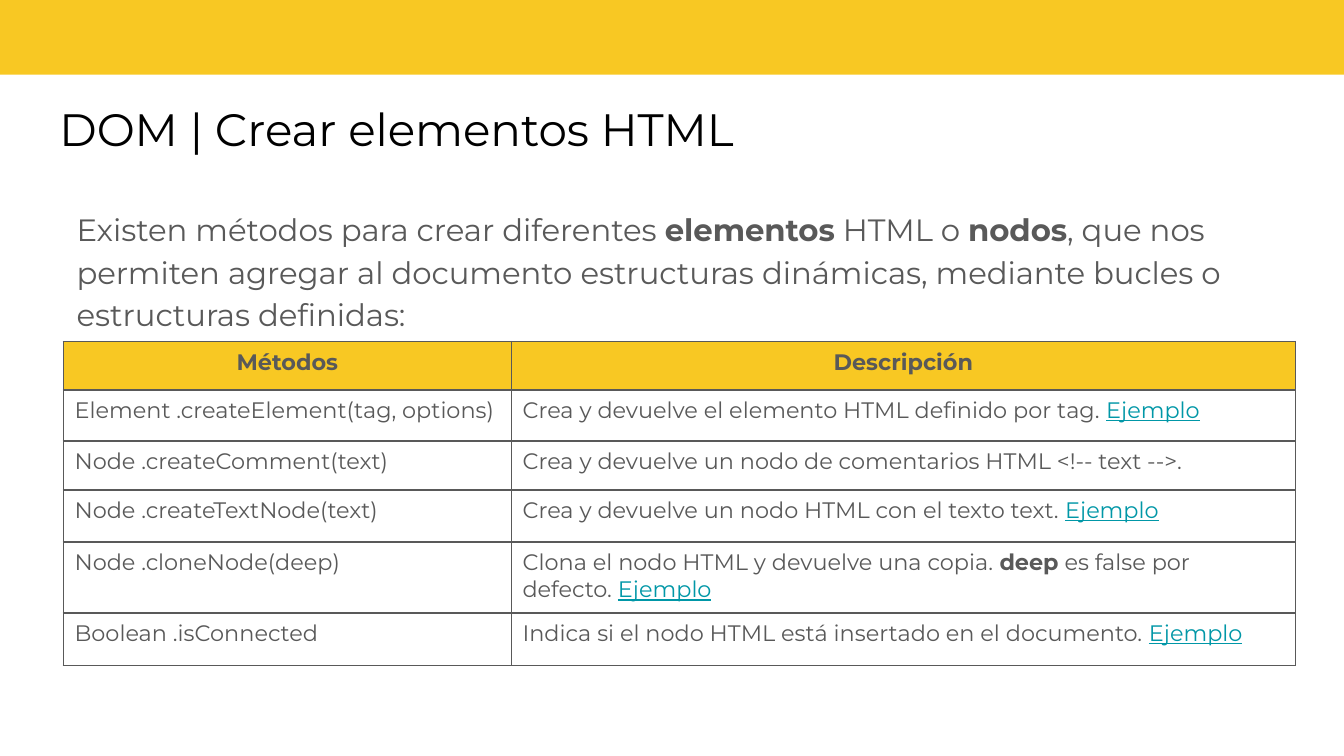
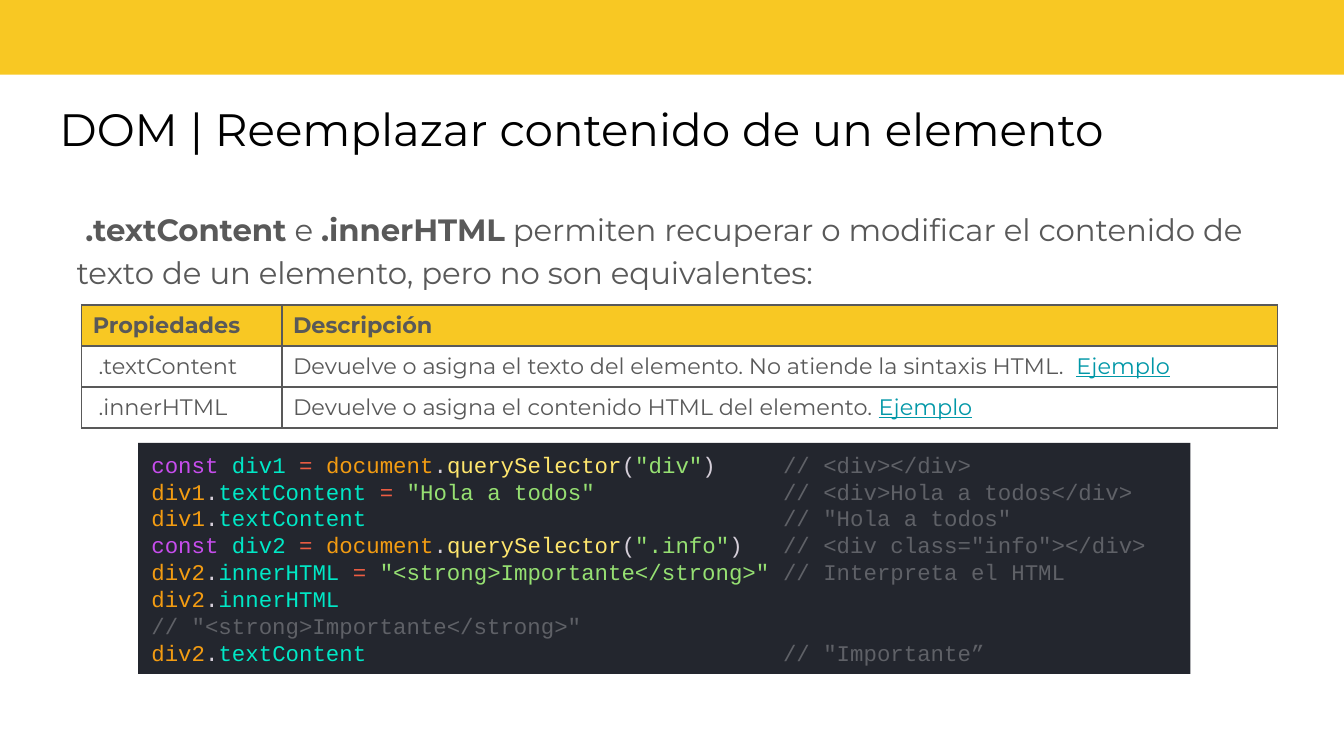
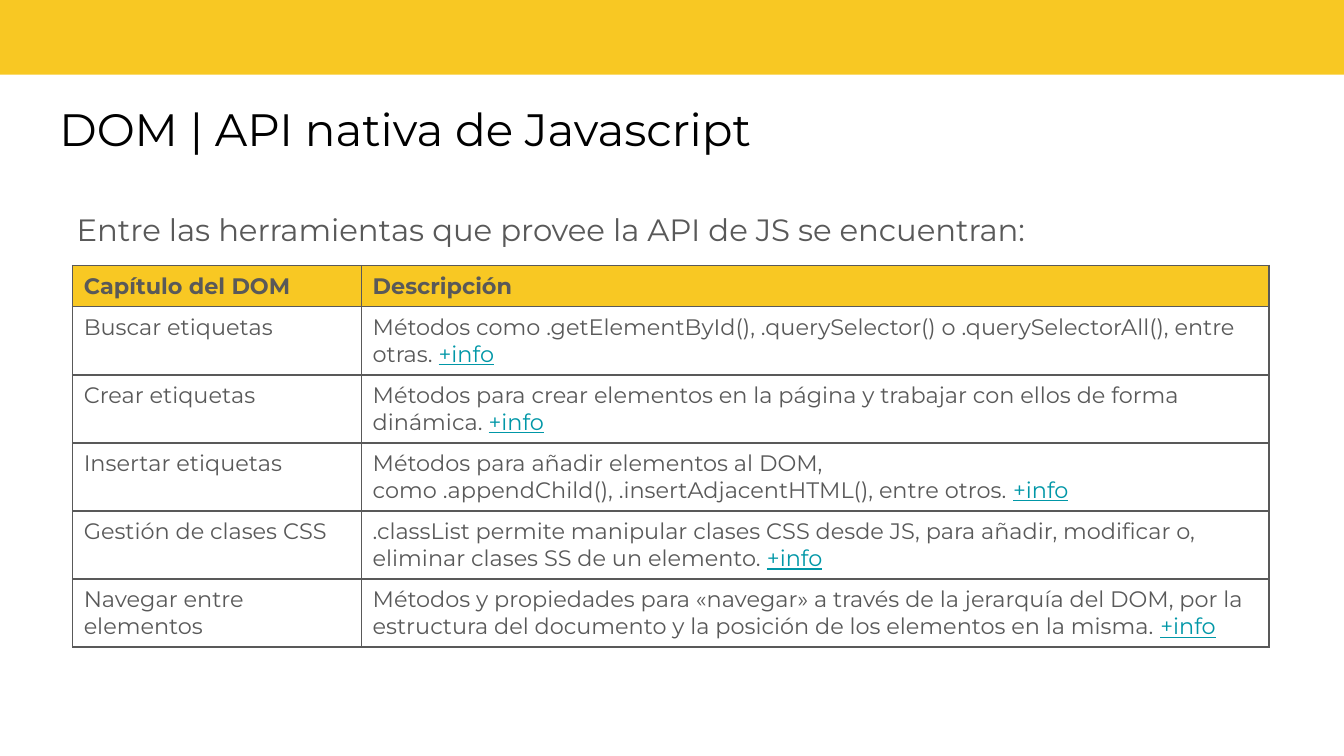
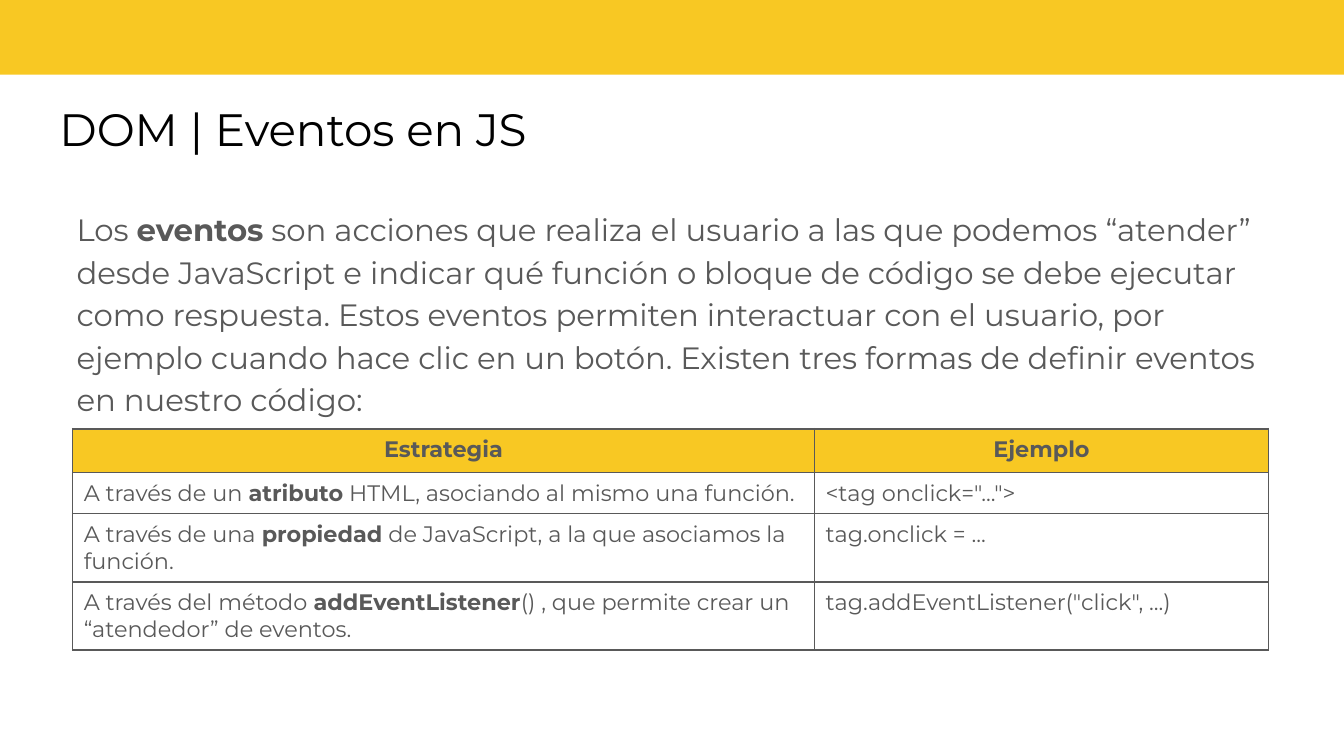
from lxml import etree
from pptx import Presentation
from pptx import util as u
from pptx.dml.color import RGBColor
from pptx.enum import shapes, text
from pptx.oxml.ns import qn

YELLOW = RGBColor(0xF8, 0xC8, 0x23)
BLACK = RGBColor(0x00, 0x00, 0x00)
GRAY = RGBColor(0x59, 0x59, 0x59)
TEAL = RGBColor(0x00, 0x97, 0xA7)
NAVY = RGBColor(0x23, 0x26, 0x2E)
KEYWORD = RGBColor(0xC7, 0x4D, 0xED)
PROPERTY = RGBColor(0x00, 0xE8, 0xC6)
OPERATOR = RGBColor(0xEE, 0x5D, 0x43)
OBJECT = RGBColor(0xF3, 0x9C, 0x12)
PLAIN = RGBColor(0xD5, 0xCE, 0xD9)
METHOD = RGBColor(0xFF, 0xE6, 0x6D)
STRING = RGBColor(0x96, 0xE0, 0x72)
COMMENT = RGBColor(0x5F, 0x61, 0x67)

FONT = "Montserrat"
CODE_FONT = "Courier New"
COMMENT_TAB = 338.4
BOLD, LINK = "**", "~"


def query(name, selector, comment):
    return [("const ", KEYWORD), (name + " ", PROPERTY), ("= ", OPERATOR),
            ("document", OBJECT), (".", PLAIN), ("querySelector", METHOD),
            ("(", PLAIN), (selector, STRING), (")\t", PLAIN), (comment, COMMENT)]


def member(name, attribute, comment="", value=""):
    runs = [(name, OBJECT), (".", PLAIN), (attribute, PROPERTY)]
    if value:
        runs += [(" = ", OPERATOR), (value, STRING)]
    if comment:
        runs.append(("\t" + comment, COMMENT))
    return runs


CODE = [
    query("div1", '"div"', "// <div></div>"),
    member("div1", "textContent", "// <div>Hola a todos</div>", '"Hola a todos"'),
    member("div1", "textContent", '// "Hola a todos"'),
    query("div2", '".info"', '// <div class="info"></div>'),
    member("div2", "innerHTML", "// Interpreta el HTML", '"<strong>Importante</strong>"'),
    member("div2", "innerHTML"),
    [('// "<strong>Importante</strong>"', COMMENT)],
    member("div2", "textContent", '// "Importante”'),
]

SLIDES = [
    {
        "title": "DOM | Crear elementos HTML",
        "body": "Existen métodos para crear diferentes **elementos** HTML o **nodos**, que nos "
                "permiten agregar al documento estructuras dinámicas, mediante bucles o "
                "estructuras definidas:",
        "at": (34, 183), "columns": (240, 420), "heights": (26, 27.4, 26, 28, 38.2, 28),
        "centered_header": True,
        "rows": [
            ("Métodos", "Descripción"),
            ("Element .createElement(tag, options)",
             "Crea y devuelve el elemento HTML definido por tag. ~Ejemplo~"),
            ("Node .createComment(text)",
             "Crea y devuelve un nodo de comentarios HTML <!-- text -->."),
            ("Node .createTextNode(text)",
             "Crea y devuelve un nodo HTML con el texto text. ~Ejemplo~"),
            ("Node .cloneNode(deep)",
             "Clona el nodo HTML y devuelve una copia. **deep** es false por defecto. ~Ejemplo~"),
            ("Boolean .isConnected",
             "Indica si el nodo HTML está insertado en el documento. ~Ejemplo~"),
        ],
    },
    {
        "title": "DOM | Reemplazar contenido de un elemento",
        "body": "** .textContent** e **.innerHTML** permiten recuperar o modificar el contenido "
                "de texto de un elemento, pero no son equivalentes:",
        "at": (43.7, 163.3), "columns": (107.3, 533.5), "heights": (22, 22, 22),
        "rows": [
            ("Propiedades", "Descripción"),
            (" .textContent",
             "Devuelve o asigna el texto del elemento. No atiende la sintaxis HTML.  ~Ejemplo~"),
            (" .innerHTML", "Devuelve o asigna el contenido HTML del elemento. ~Ejemplo~"),
        ],
        "code": CODE,
    },
    {
        "title": "DOM | API nativa de Javascript",
        "body": "Entre las herramientas que provee la API de JS se encuentran:",
        "at": (38.9, 142.3), "columns": (154.8, 486), "heights": (22,) + (36.5,) * 5,
        "rows": [
            ("Capítulo del DOM", "Descripción"),
            ("Buscar etiquetas",
             "Métodos como .getElementById(), .querySelector() o .querySelectorAll(), "
             "entre otras. ~+info~"),
            ("Crear etiquetas",
             "Métodos para crear elementos en la página y trabajar con ellos de forma "
             "dinámica. ~+info~"),
            ("Insertar etiquetas",
             "Métodos para añadir elementos al DOM,\n"
             "como .appendChild(), .insertAdjacentHTML(), entre otros. ~+info~"),
            ("Gestión de clases CSS",
             ".classList permite manipular clases CSS desde JS, para añadir, modificar o, "
             "eliminar clases SS de un elemento. ~+info~"),
            ("Navegar entre elementos",
             "Métodos y propiedades para «navegar» a través de la jerarquía del DOM, por la "
             "estructura del documento y la posición de los elementos en la misma. ~+info~"),
        ],
    },
    {
        "title": "DOM | Eventos en JS",
        "body": "Los **eventos** son acciones que realiza el usuario a las que podemos “atender” "
                "desde JavaScript e indicar qué función o bloque de código se debe ejecutar como "
                "respuesta. Estos eventos permiten interactuar con el usuario, por ejemplo cuando "
                "hace clic en un botón. Existen tres formas de definir eventos en nuestro código:",
        "at": (38.9, 229.7), "columns": (397.4, 243.4), "heights": (23.5, 22, 36.5, 36.5),
        "centered_header": True,
        "rows": [
            ("Estrategia", "Ejemplo"),
            ("A través de un **atributo** HTML, asociando al mismo una función.",
             '<tag onclick="...">'),
            ("A través de una **propiedad** de JavaScript, a la que asociamos la función.",
             "tag.onclick = ..."),
            ("A través del método **addEventListener**() , que permite crear un “atendedor” "
             "de eventos.",
             'tag.addEventListener("click", ...)'),
        ],
    },
]


def add_run(paragraph, content, size, color, font=FONT, bold=False, underline=False):
    run = paragraph.add_run()
    run.text = content
    run.font.name = font
    run.font.size = u.Pt(size)
    run.font.color.rgb = color
    run.font.bold = bold
    run.font.underline = underline


def write(paragraph, content, size=12, color=GRAY, bold=False, spacing=None, centered=False):
    if spacing:
        paragraph.line_spacing = spacing
    paragraph.alignment = text.PP_ALIGN.CENTER if centered else text.PP_ALIGN.LEFT
    for line_number, line in enumerate(content.split("\n")):
        if line_number:
            paragraph.add_line_break()
        for bold_part, words in enumerate(line.split(BOLD)):
            for link_part, piece in enumerate(words.split(LINK)):
                is_link = link_part % 2 == 1
                if piece:
                    add_run(paragraph, piece, size, TEAL if is_link else color,
                            bold=bold or bold_part % 2 == 1, underline=is_link)


def set_margins(frame, horizontal, vertical):
    frame.word_wrap = True
    frame.margin_left = frame.margin_right = u.Pt(horizontal)
    frame.margin_top = frame.margin_bottom = u.Pt(vertical)


def add_text(slide, box, content, **style):
    frame = slide.shapes.add_textbox(*map(u.Pt, box)).text_frame
    set_margins(frame, 7.2, 7.2)
    write(frame.paragraphs[0], content, **style)


def add_rectangle(slide, box, color):
    shape = slide.shapes.add_shape(shapes.MSO_SHAPE.RECTANGLE, *map(u.Pt, box))
    shape.shadow.inherit = False
    shape.fill.solid()
    shape.fill.fore_color.rgb = color
    shape.line.fill.background()
    return shape


def add_borders(cell):
    properties = cell._tc.get_or_add_tcPr()
    for position, side in enumerate(("lnL", "lnR", "lnT", "lnB")):
        line = etree.Element(qn("a:" + side), w=str(u.Pt(0.96)))
        fill = etree.SubElement(line, qn("a:solidFill"))
        etree.SubElement(fill, qn("a:srgbClr"), val=str(GRAY))
        properties.insert(position, line)


def add_methods_table(slide, content):
    rows, widths, heights = content["rows"], content["columns"], content["heights"]
    box = (*content["at"], sum(widths), sum(heights))
    table = slide.shapes.add_table(len(rows), len(widths), *map(u.Pt, box)).table
    table.horz_banding = False
    for column, width in zip(table.columns, widths):
        column.width = u.Pt(width)
    for row_number, (row, height, values) in enumerate(zip(table.rows, heights, rows)):
        row.height = u.Pt(height)
        header = row_number == 0
        for cell, value in zip(row.cells, values):
            cell.margin_left = cell.margin_right = u.Pt(6)
            cell.margin_top = cell.margin_bottom = u.Pt(3.6)
            if header:
                cell.fill.solid()
                cell.fill.fore_color.rgb = YELLOW
            else:
                cell.fill.background()
            add_borders(cell)
            write(cell.text_frame.paragraphs[0], value, bold=header,
                  centered=header and content.get("centered_header", False))


def add_code(slide, lines):
    frame = add_rectangle(slide, (74, 237.2, 563.8, 123.8), NAVY).text_frame
    set_margins(frame, 7.2, 3.6)
    frame.vertical_anchor = text.MSO_ANCHOR.MIDDLE
    for number, runs in enumerate(lines):
        paragraph = frame.add_paragraph() if number else frame.paragraphs[0]
        paragraph.alignment = text.PP_ALIGN.LEFT
        tabs = etree.SubElement(paragraph._p.get_or_add_pPr(), qn("a:tabLst"))
        etree.SubElement(tabs, qn("a:tab"), pos=str(u.Pt(COMMENT_TAB)), algn="l")
        for content, color in runs:
            add_run(paragraph, content, 12, color, font=CODE_FONT)


def main():
    presentation = Presentation()
    presentation.slide_width, presentation.slide_height = u.Pt(720), u.Pt(405)
    for content in SLIDES:
        slide = presentation.slides.add_slide(presentation.slide_layouts[6])
        add_rectangle(slide, (-1, -4, 722, 44), YELLOW)
        add_text(slide, (24.8, 46.8, 669.6, 45.4), content["title"], size=24.3, color=BLACK)
        add_text(slide, (34, 103, 660.2, 261.4), content["body"], size=16.5, spacing=1.15)
        add_methods_table(slide, content)
        if "code" in content:
            add_code(slide, content["code"])
    presentation.save("out.pptx")


if __name__ == "__main__":
    main()
